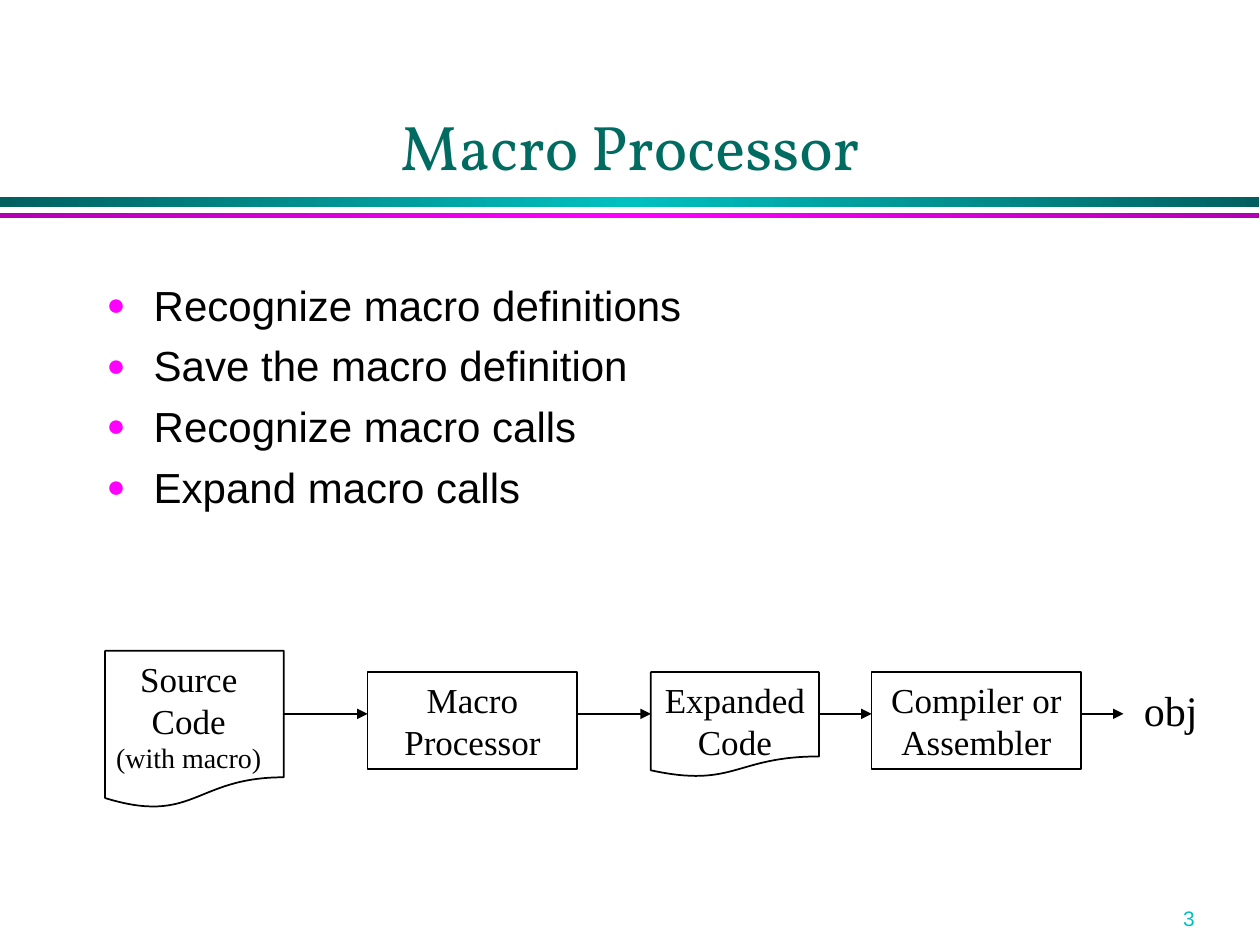
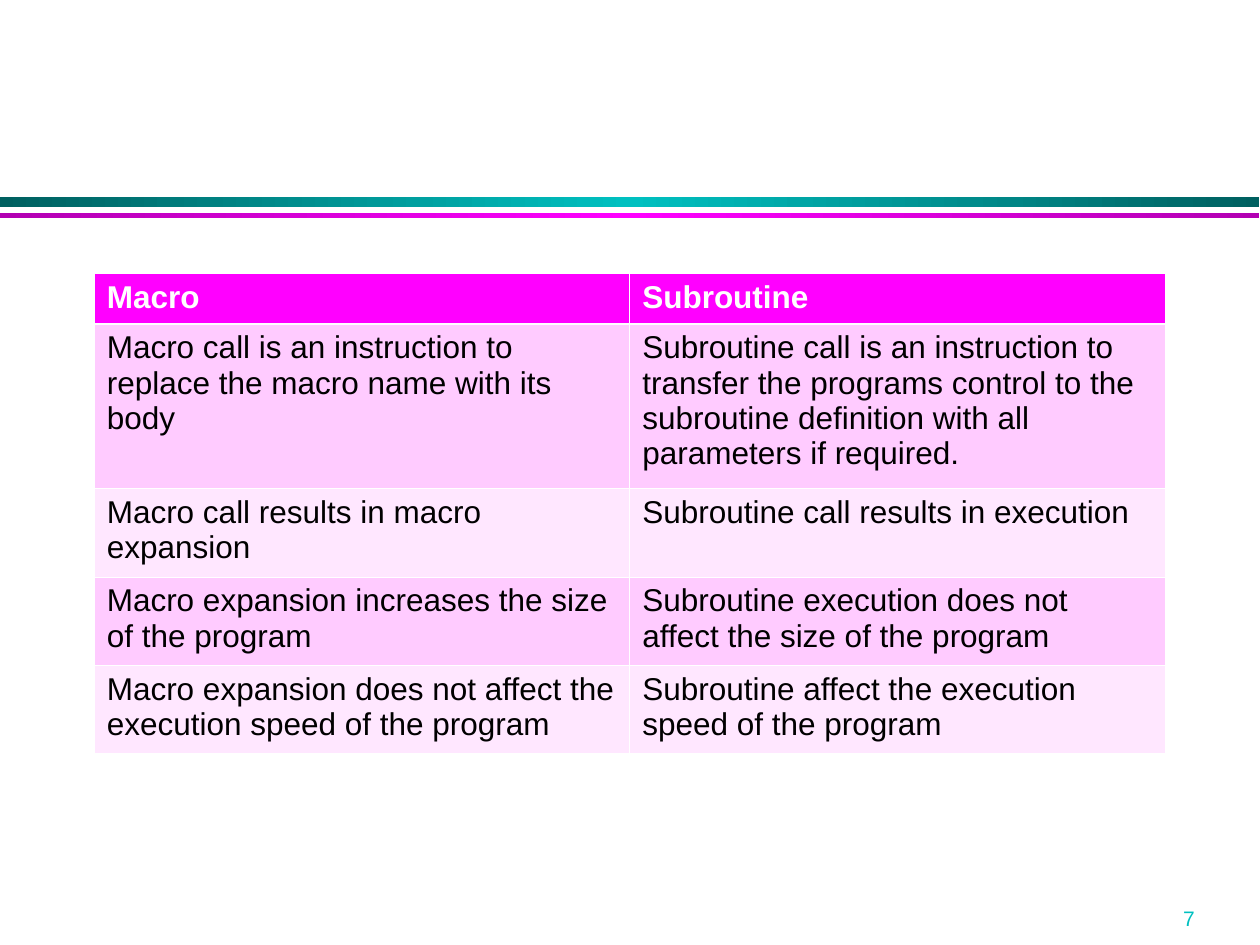
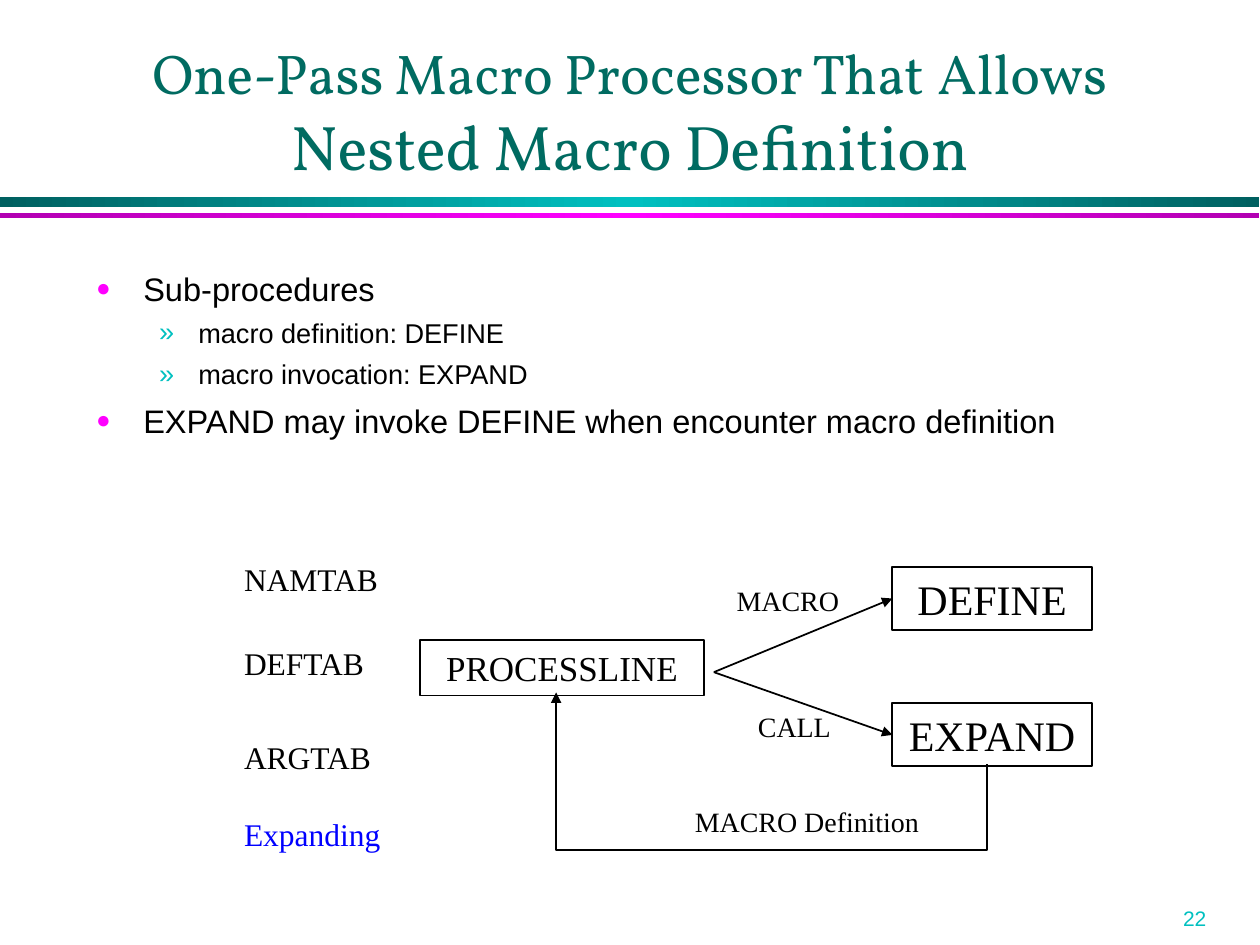
from copy import deepcopy

from lxml import etree
from pptx import Presentation
from pptx.dml.color import RGBColor
from pptx.enum.shapes import MSO_CONNECTOR, MSO_SHAPE
from pptx.enum.text import MSO_ANCHOR, PP_ALIGN
from pptx.oxml.ns import qn
from pptx.util import Cm, Pt

STRAIGHT, ELBOW = MSO_CONNECTOR.STRAIGHT, MSO_CONNECTOR.ELBOW
RECTANGLE, DOCUMENT = MSO_SHAPE.RECTANGLE, MSO_SHAPE.FLOWCHART_DOCUMENT
LEFT, CENTER = PP_ALIGN.LEFT, PP_ALIGN.CENTER
TOP, BOTTOM = MSO_ANCHOR.TOP, MSO_ANCHOR.BOTTOM
LEFT_SIDE = 1

BLACK = RGBColor(0x00, 0x00, 0x00)
WHITE = RGBColor(0xFF, 0xFF, 0xFF)
BLUE = RGBColor(0x00, 0x00, 0xFF)
TITLE_GREEN = RGBColor(0x00, 0x6B, 0x61)
TEAL = RGBColor(0x00, 0xC0, 0xC0)
DARK_TEAL = RGBColor(0x00, 0x60, 0x60)
MAGENTA = RGBColor(0xFF, 0x00, 0xFF)
DARK_MAGENTA = RGBColor(0xB2, 0x00, 0xB2)
PINK = RGBColor(0xFF, 0xCB, 0xFF)
PALE_PINK = RGBColor(0xFF, 0xE7, 0xFF)

SANS, SERIF, TITLE_FONT = "Arial", "Times New Roman", "Vollkorn"

# All boxes are (left, top, width, height) in centimetres.
BANDS = [(3.97, 0.2, DARK_TEAL, TEAL), (4.29, 0.11, DARK_MAGENTA, MAGENTA)]
TITLE_BOX = (1.9, 0.64, 21.59, 3.17)
NUMBER_BOX = (23.6, 18.13, 1.6, 0.77)

# Bullet levels: character, colour, size in percent, margin, indent, space before
LEVELS = [("●", MAGENTA, 75, 0.95, -0.95, 6), ("»", TEAL, 100, 2.06, -0.79, 5)]

PROCESSOR_TITLE = [("Macro Processor", 36)]
PROCESSOR_BOX = (1.9, 5.5, 21.59, 11.43)
PROCESSOR_TASKS = [
    (0, "Recognize macro definitions"),
    (0, "Save the macro definition"),
    (0, "Recognize macro calls"),
    (0, "Expand macro calls"),
]
# Stages: outline, its box, text box, lines with their sizes
STAGES = [
    (DOCUMENT, (2.12, 13.12, 3.6, 3.18), (1.9, 13.12, 3.81, 2.64),
     [("Source Code", 20), ("(with macro)", 16)]),
    (RECTANGLE, (7.41, 13.55, 4.23, 1.96), None, [("Macro Processor", 20)]),
    (DOCUMENT, (13.12, 13.55, 3.39, 2.12), (13.12, 13.55, 3.39, 1.96),
     [("Expanded Code", 20)]),
    (RECTANGLE, (17.57, 13.55, 4.23, 1.96), None, [("Compiler or Assembler", 20)]),
]
FLOW_Y, FLOW_END = 14.39, 22.65
OUTPUT_BOX = (22.81, 13.67, 1.8, 1.27)

TABLE_BOX = (1.9, 5.51, 21.59, 9.68)
ROW_HEIGHTS = [1.02, 3.32, 1.78, 1.78, 1.78]
COMPARISON = [
    ("Macro", "Subroutine"),
    ("Macro call is an instruction to replace the macro name with its body",
     "Subroutine call is an instruction to transfer the programs control to the "
     "subroutine definition with all parameters if required."),
    ("Macro call results in macro expansion", "Subroutine call results in execution"),
    ("Macro expansion increases the size of the program",
     "Subroutine execution does not affect the size of the program"),
    ("Macro expansion does not affect the execution speed of the program",
     "Subroutine affect the execution speed of the program"),
]

ONE_PASS_TITLE = [("One-Pass Macro Processor That", 32), (" ", 36), ("Allows ", 32),
                  ("Nested Macro Definition", 36)]
ONE_PASS_BOX = (1.69, 5.29, 21.59, 3.81)
ONE_PASS_POINTS = [
    (0, "Sub-procedures"),
    (1, "macro definition: DEFINE"),
    (1, "macro invocation: EXPAND"),
    (0, "EXPAND may invoke DEFINE when encounter macro definition"),
]
PROCEDURES = [
    ("DEFINE", 24, (17.99, 11.43, 4.02, 1.27)),
    ("EXPAND", 24, (17.99, 14.18, 4.02, 1.27)),
]
PROCESSLINE = ("PROCESSLINE", 20, (8.47, 12.91, 5.72, 1.11))
BRANCH_POINT = (14.39, 13.55)
RETURN_BOX = (14.83, 10.34, 1.45, 8.69)  # before its quarter turn
RETURN_BEND = -118700
LABELS = [
    ([("DEFTAB", 18)], (4.67, 12.86, 3.5, 1.03)),
    ([("NAMTAB", 18)], (4.67, 11.16, 3.5, 1.03)),
    ([("ARGTAB", 18), ("Expanding", 18)], (4.67, 14.76, 3.5, 2.54)),
    ([("MACRO", 16)], (14.6, 11.64, 2.8, 0.93)),
    ([("CALL", 16)], (15.03, 14.18, 2.2, 0.93)),
    ([("MACRO Definition", 16)], (13.76, 16.09, 5.3, 0.93)),
]
EXPANDING_GAP = 22


def lengths(values):
    return [Cm(value) for value in values]


def set_font(font, name, size, color, bold=False):
    font.name, font.size, font.bold = name, Pt(size), bold
    font.color.rgb = color


def write_lines(shape, lines, align=LEFT, font=SERIF, color=BLACK):
    """Fill a shape with (text, size) paragraphs."""
    frame = shape.text_frame
    frame.word_wrap, frame.vertical_anchor = True, TOP
    for index, (text, size) in enumerate(lines):
        paragraph = frame.add_paragraph() if index else frame.paragraphs[0]
        paragraph.text, paragraph.alignment = text, align
        set_font(paragraph.font, font, size, color)
    return frame


def add_text(slide, box, lines, **style):
    return write_lines(slide.shapes.add_textbox(*lengths(box)), lines, **style)


def add_outline(slide, kind, box, lines=()):
    shape = slide.shapes.add_shape(kind, *lengths(box))
    shape.shadow.inherit = False
    shape.fill.background()
    shape.line.color.rgb, shape.line.width = BLACK, Pt(1)
    write_lines(shape, lines, CENTER)
    return shape


def add_arrow(slide, start, end, kind=STRAIGHT):
    arrow = slide.shapes.add_connector(kind, *lengths(start + end))
    arrow.line.color.rgb, arrow.line.width = BLACK, Pt(1)
    etree.SubElement(arrow.line._get_or_add_ln(), qn("a:tailEnd"), type="triangle")
    etree.SubElement(arrow._element.spPr, qn("a:effectLst"))
    return arrow


def add_band(slide, top, height, edge, middle):
    band = slide.shapes.add_shape(RECTANGLE, *lengths((0, top, 25.38, height)))
    band.shadow.inherit = False
    band.line.fill.background()
    band.fill.gradient()
    band.fill.gradient_angle = 0
    stop_list = band._element.spPr.find(".//" + qn("a:gsLst"))
    stop_list.append(deepcopy(stop_list[0]))
    for stop, position, color in zip(band.fill.gradient_stops, (0, 0.5, 1),
                                     (edge, middle, edge)):
        stop.position, stop.color.rgb = position, color


def start_slide(presentation, number, title=()):
    slide = presentation.slides.add_slide(presentation.slide_layouts[6])
    for band in BANDS:
        add_band(slide, *band)
    add_text(slide, NUMBER_BOX, [(str(number), 12)], font=SANS, color=TEAL)
    if title:
        frame = slide.shapes.add_textbox(*lengths(TITLE_BOX)).text_frame
        frame.word_wrap, frame.vertical_anchor = True, BOTTOM
        paragraph = frame.paragraphs[0]
        paragraph.alignment = CENTER
        for text, size in title:
            run = paragraph.add_run()
            run.text = text
            set_font(run.font, TITLE_FONT, size, TITLE_GREEN)
    return slide


def add_bullets(slide, box, points, sizes):
    frame = slide.shapes.add_textbox(*lengths(box)).text_frame
    frame.word_wrap = True
    for index, (level, text) in enumerate(points):
        character, color, percent, margin, indent, space = LEVELS[level]
        paragraph = frame.add_paragraph() if index else frame.paragraphs[0]
        paragraph.text, paragraph.level = text, level
        if index:
            paragraph.space_before = Pt(space)
        properties = paragraph._p.get_or_add_pPr()
        properties.set("marL", str(Cm(margin)))
        properties.set("indent", str(Cm(indent)))
        bullet_color = etree.SubElement(properties, qn("a:buClr"))
        etree.SubElement(bullet_color, qn("a:srgbClr"), val=str(color))
        etree.SubElement(properties, qn("a:buSzPct"), val=str(percent * 1000))
        etree.SubElement(properties, qn("a:buFont"), typeface=SANS)
        etree.SubElement(properties, qn("a:buChar"), char=character)
        set_font(paragraph.font, SANS, sizes[level], BLACK)


def set_borders(cell, widths):
    """Draw white borders; widths are left, right, top, bottom in points."""
    properties = cell._tc.get_or_add_tcPr()
    for index, (side, width) in enumerate(zip("LRTB", widths)):
        line = etree.Element(qn("a:ln" + side), w=str(Pt(width)))
        fill = etree.SubElement(line, qn("a:solidFill"))
        etree.SubElement(fill, qn("a:srgbClr"), val=str(WHITE))
        properties.insert(index, line)


def build_processor_slide(presentation):
    slide = start_slide(presentation, 3, PROCESSOR_TITLE)
    add_bullets(slide, PROCESSOR_BOX, PROCESSOR_TASKS, (24, 20))
    for kind, box, text_box, lines in STAGES:
        if text_box:
            add_text(slide, text_box, lines, align=CENTER)
        add_outline(slide, kind, box, () if text_box else lines)
    boxes = [stage[1] for stage in STAGES]
    arrow_ends = [box[0] for box in boxes[1:]] + [FLOW_END]
    for (left, _, width, _), end in zip(boxes, arrow_ends):
        add_arrow(slide, (left + width, FLOW_Y), (end, FLOW_Y))
    add_text(slide, OUTPUT_BOX, [("obj", 24)])


def build_comparison_slide(presentation):
    slide = start_slide(presentation, 7)
    table = slide.shapes.add_table(len(COMPARISON), 2, *lengths(TABLE_BOX)).table
    for row_index, texts in enumerate(COMPARISON):
        table.rows[row_index].height = Cm(ROW_HEIGHTS[row_index])
        header = row_index == 0
        for column_index, text in enumerate(texts):
            cell = table.cell(row_index, column_index)
            cell.text = text
            set_font(cell.text_frame.paragraphs[0].font, SANS, 18,
                     WHITE if header else BLACK, header)
            cell.fill.solid()
            cell.fill.fore_color.rgb = (
                MAGENTA if header else PINK if row_index % 2 else PALE_PINK)
            set_borders(cell, (0.45, 0.45, 1.47 if row_index == 1 else 0.45,
                               1.47 if header else 0.45))


def build_one_pass_slide(presentation):
    slide = start_slide(presentation, 22, ONE_PASS_TITLE)
    add_bullets(slide, ONE_PASS_BOX, ONE_PASS_POINTS, (18.6, 15.5))
    text, size, box = PROCESSLINE
    add_outline(slide, RECTANGLE, box, [(text, size)])
    for text, size, box in PROCEDURES:
        procedure = add_outline(slide, RECTANGLE, box, [(text, size)])
        branch = add_arrow(slide, BRANCH_POINT, box[:2])
        branch.end_connect(procedure, LEFT_SIDE)

    left, top, width, height = RETURN_BOX
    return_arrow = add_arrow(slide, (left, top + height), (left + width, top), ELBOW)
    properties = return_arrow._element.spPr
    properties.find(qn("a:xfrm")).set("rot", str(270 * 60000))
    adjustments = properties.find(qn("a:prstGeom")).get_or_add_avLst()
    etree.SubElement(adjustments, qn("a:gd"), name="adj1", fmla=f"val {RETURN_BEND}")

    for lines, box in LABELS:
        frame = add_text(slide, box, lines)
        for paragraph in frame.paragraphs[1:]:
            paragraph.space_before = Pt(EXPANDING_GAP)
            paragraph.font.color.rgb = BLUE


def main():
    presentation = Presentation()
    presentation.slide_width, presentation.slide_height = Cm(25.4), Cm(19.05)
    build_processor_slide(presentation)
    build_comparison_slide(presentation)
    build_one_pass_slide(presentation)
    presentation.save("out.pptx")


if __name__ == "__main__":
    main()
